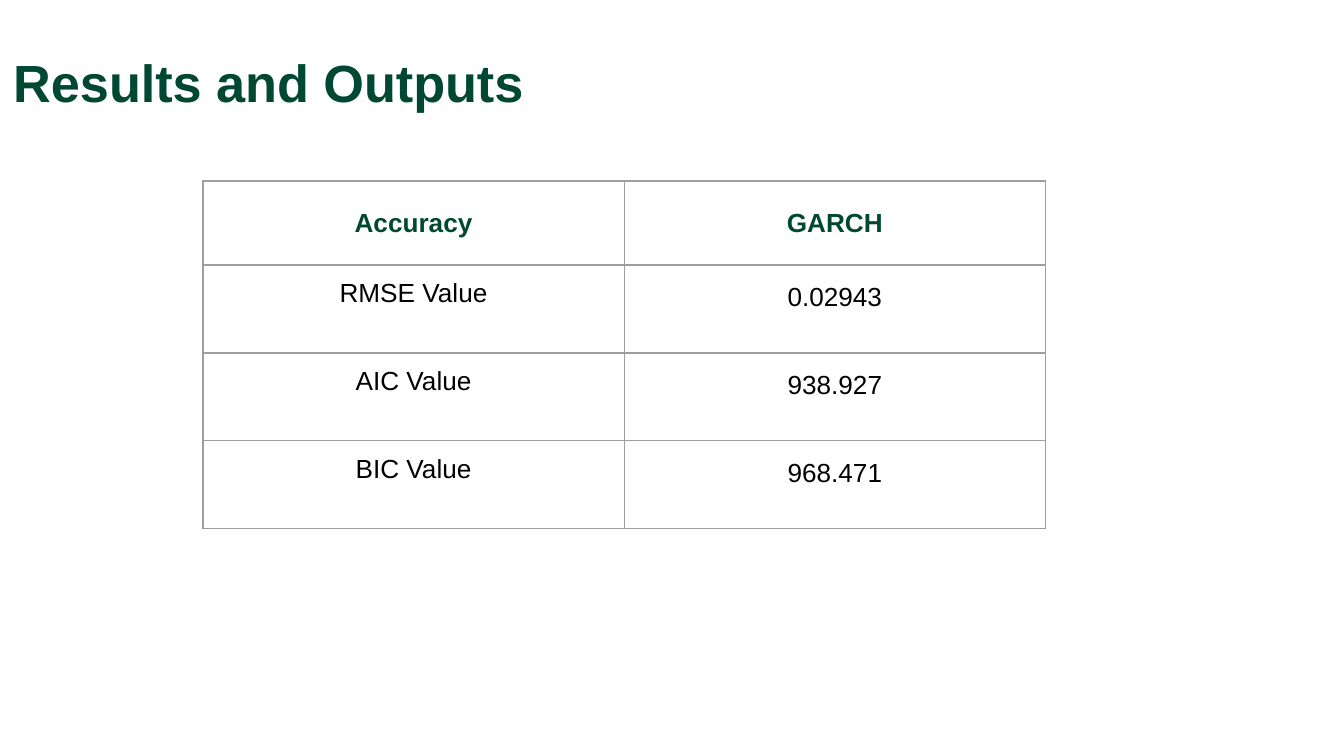
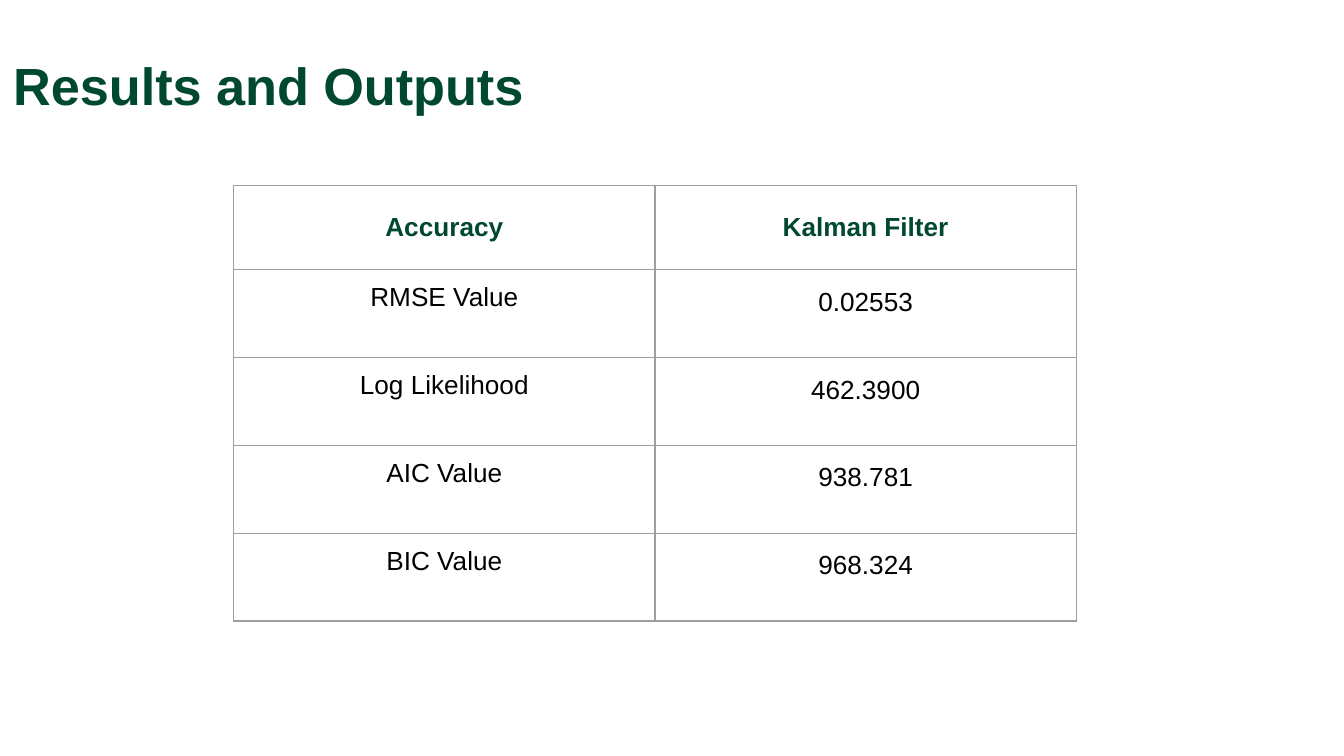
from lxml import etree
from pptx import Presentation
from pptx.dml.color import RGBColor
from pptx.enum import text
from pptx.oxml import ns
from pptx.util import Pt

GREEN = RGBColor(0x00, 0x48, 0x32)
BLACK = RGBColor(0x00, 0x00, 0x00)
GRAY = RGBColor(0x9E, 0x9E, 0x9E)
FONT = "Arial"
PAD = Pt(7.2)
COL = Pt(225.7)
HEAD = Pt(45)
ROW = Pt(47.1)


def add_run(para, words, size, color, bold):
    run = para.add_run()
    run.text = words
    font = run.font
    font.name, font.size, font.bold = FONT, Pt(size), bold
    font.color.rgb = color


def add_title(slide, top, width):
    box = slide.shapes.add_textbox(0, Pt(top), Pt(width), Pt(45.4))
    frame = box.text_frame
    frame.word_wrap = True
    frame.margin_left = frame.margin_right = frame.margin_bottom = PAD
    frame.margin_top = Pt(9.5)
    add_run(frame.paragraphs[0], "Results and Outputs", 28, GREEN, True)


def add_edges(cell):
    """Draw a thin gray line on all four sides of a cell."""
    props = cell._tc.get_or_add_tcPr()
    for side in "LRTB":
        line = etree.SubElement(props, ns.qn(f"a:ln{side}"), w=str(Pt(0.75)))
        fill = etree.SubElement(line, ns.qn("a:solidFill"))
        etree.SubElement(fill, ns.qn("a:srgbClr"), val=str(GRAY))


def fill_cell(cell, words, head, value):
    add_edges(cell)
    cell.fill.background()
    cell.margin_left = cell.margin_right = PAD
    cell.margin_top = cell.margin_bottom = PAD
    anchor = text.MSO_ANCHOR
    cell.vertical_anchor = anchor.MIDDLE if head else anchor.TOP
    para = cell.text_frame.paragraphs[0]
    para.alignment = text.PP_ALIGN.CENTER
    if value and not head:
        para.line_spacing = 1.15
    add_run(para, words, 14, GREEN if head else BLACK, head)


def add_scores(slide, left, top, rows):
    high = HEAD + ROW * (len(rows) - 1)
    frame = slide.shapes.add_table(len(rows), 2, Pt(left), Pt(top), 2 * COL, high)
    table = frame.table
    table.first_row = table.horz_banding = False
    for col in table.columns:
        col.width = COL
    for r, row in enumerate(rows):
        table.rows[r].height = ROW if r else HEAD
        for c, words in enumerate(row):
            fill_cell(table.cell(r, c), words, head=r == 0, value=c == 1)


def main():
    deck = Presentation()
    deck.slide_width, deck.slide_height = Pt(720), Pt(405)
    blank = deck.slide_layouts[6]

    garch = deck.slides.add_slide(blank)
    add_title(garch, 17.3, 356.4)
    add_scores(garch, 108.7, 97, [
        ("Accuracy", "GARCH"),
        ("RMSE Value", "0.02943"),
        ("AIC Value", "938.927"),
        ("BIC Value", "968.471"),
    ])

    kalman = deck.slides.add_slide(blank)
    add_title(kalman, 19, 393)
    add_scores(kalman, 125.2, 99.4, [
        ("Accuracy", "Kalman Filter"),
        ("RMSE Value", "0.02553"),
        ("Log Likelihood", "462.3900"),
        ("AIC Value", "938.781"),
        ("BIC Value", "968.324"),
    ])
    deck.save("out.pptx")


if __name__ == "__main__":
    main()
